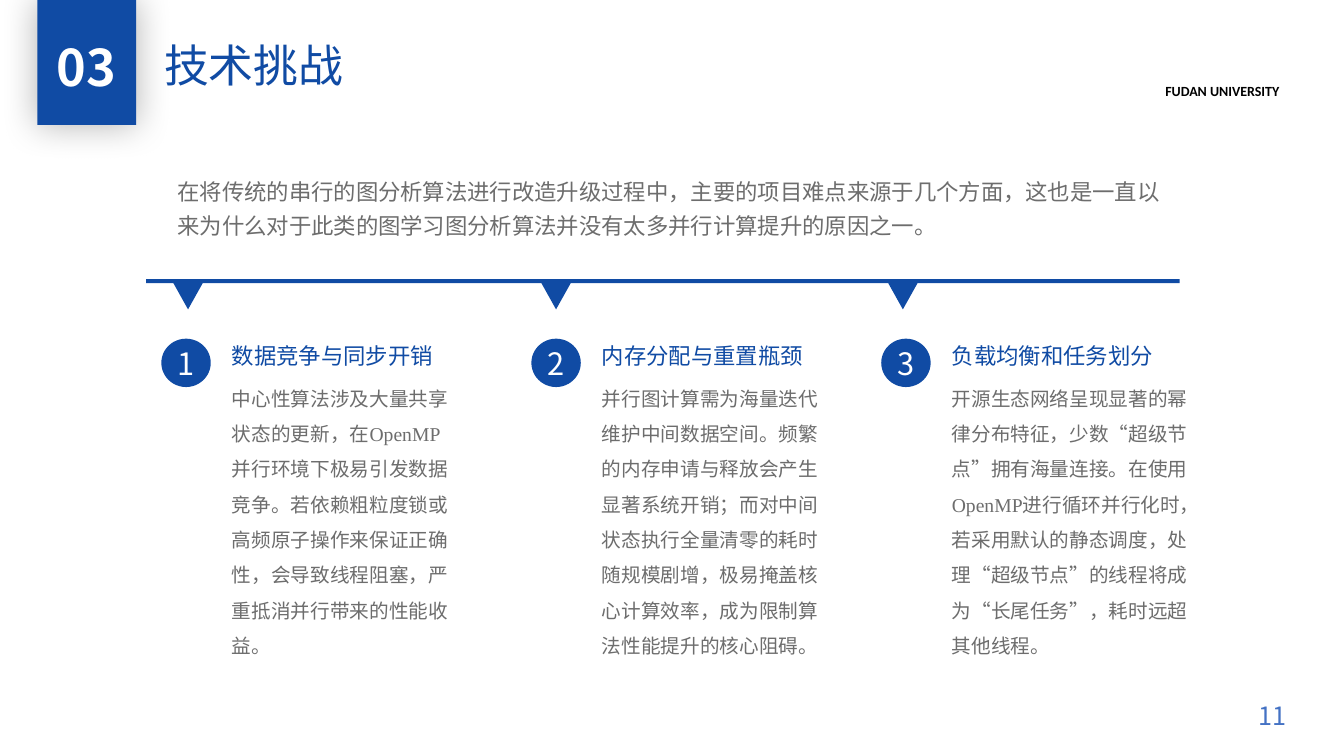
"""Build the slide on the technical challenges of parallel graph analysis."""
from lxml import etree
from pptx import Presentation
from pptx.dml.color import RGBColor
from pptx.enum.shapes import MSO_SHAPE as Shape
from pptx.enum.text import MSO_ANCHOR as Anchor, MSO_AUTO_SIZE as AutoSize, PP_ALIGN as Align
from pptx.oxml import parse_xml
from pptx.oxml.ns import nsdecls, qn
from pptx.util import Inches, Pt

BLUE = RGBColor(0x10, 0x4B, 0xA4)
PAGE_BLUE = RGBColor(0x44, 0x72, 0xC4)
GRAY = RGBColor(0x6D, 0x6D, 0x6D)
BLACK = RGBColor(0, 0, 0)
WHITE = RGBColor(0xFF, 0xFF, 0xFF)
SC, TC = "Noto Sans CJK SC", "Noto Sans CJK TC"

prs = Presentation()
prs.slide_width, prs.slide_height = Inches(13.33), Inches(7.5)
slide = prs.slides.add_slide(prs.slide_layouts[6])


def add_blue(kind, left, top, width, height):
    shape = slide.shapes.add_shape(kind, Inches(left), Inches(top), Inches(width), Inches(height))
    shape.shadow.inherit = False
    shape.fill.solid()
    shape.fill.fore_color.rgb = BLUE
    shape.line.fill.background()
    return shape


def write(shape, text, size, color, font=SC, bold=False, align=Align.LEFT,
          anchor=Anchor.TOP, spacing=1.0, inset=True, grow=False):
    frame = shape.text_frame
    frame.text = text
    frame.word_wrap = True
    frame.vertical_anchor = anchor
    frame.auto_size = AutoSize.SHAPE_TO_FIT_TEXT if grow else AutoSize.NONE
    if not inset:
        frame.margin_left = frame.margin_right = frame.margin_top = frame.margin_bottom = 0
    paragraph = frame.paragraphs[0]
    paragraph.alignment, paragraph.line_spacing = align, spacing
    run = paragraph.runs[0]
    run.font.name, run.font.size, run.font.bold = font, Pt(size), bold
    run.font.color.rgb = color
    east_asian = etree.SubElement(run.font._element, qn("a:ea"))
    east_asian.set("typeface", font if font in (SC, TC) else SC)


badge = add_blue(Shape.RECTANGLE, 0.37, 0, 0.98, 1.24)
effects = badge._element.spPr.find(qn("a:effectLst"))
effects.append(parse_xml(
    f'<a:outerShdw {nsdecls("a")} blurRad="{Pt(26)}" dist="0" dir="0" algn="ctr" rotWithShape="0">'
    '<a:srgbClr val="000000"><a:alpha val="30000"/></a:srgbClr></a:outerShdw>'))

add_blue(Shape.RECTANGLE, 1.45, 2.77, 10.25, 0.04)

intro = ("在将传统的串行的图分析算法进行改造升级过程中，主要的项目难点来源于几个方面，"
         "这也是一直以来为什么对于此类的图学习图分析算法并没有太多并行计算提升的原因之一。")
texts = [
    ((0.32, 0.31, 1.07, 0.71), "03", 36, WHITE, dict(bold=True, align=Align.CENTER, grow=True)),
    ((1.53, 0.33, 3.97, 0.64), "技术挑战", 32, BLUE, dict(grow=True)),
    ((11.46, 0.77, 1.4, 0.27), "FUDAN UNIVERSITY", 10, BLACK,
     dict(font="Calibri", bold=True, align=Align.JUSTIFY, grow=True)),
    ((1.76, 1.7, 9.81, 0.79), intro, 16, GRAY, dict(spacing=1.25, inset=False)),
    ((9.86, 6.9, 3, 0.4), "11", 18, PAGE_BLUE, dict(align=Align.RIGHT, anchor=Anchor.MIDDLE)),
]

challenges = [
    (2.3, 1.72, 2.29, 2.29, "数据竞争与同步开销",
     "中心性算法涉及大量共享状态的更新，在OpenMP 并行环境下极易引发数据竞争。"
     "若依赖粗粒度锁或高频原子操作来保证正确性，会导致线程阻塞，严重抵消并行带来的性能收益。"),
    (5.97, 5.37, 2.26, 2.26, "内存分配与重置瓶颈",
     "并行图计算需为海量迭代维护中间数据空间。频繁的内存申请与释放会产生显著系统开销；"
     "而对中间状态执行全量清零的耗时随规模剧增，极易掩盖核心计算效率，成为限制算法性能提升的核心阻碍。"),
    (9.44, 8.81, 2.35, 2.51, "负载均衡和任务划分",
     "开源生态网络呈现显著的幂律分布特征，少数“超级节点”拥有海量连接。在使用 OpenMP进行循环并行化时，"
     "若采用默认的静态调度，处理“超级节点”的线程将成为“长尾任务”，耗时远超其他线程。"),
]
for number, (left, marker_left, heading_width, body_width, heading, body) in enumerate(challenges, 1):
    add_blue(Shape.FLOWCHART_MERGE, marker_left, 2.81, 0.29, 0.26)
    circle = add_blue(Shape.OVAL, left - 0.7, 3.36, 0.49, 0.48)
    write(circle, str(number), 22, WHITE, TC, align=Align.CENTER, anchor=Anchor.MIDDLE, inset=False)
    texts.append(((left, 3.38, heading_width, 0.32), heading, 16, BLUE,
                  dict(font=TC, anchor=Anchor.MIDDLE, spacing=0.9, inset=False)))
    texts.append(((left, 3.72, body_width, 2.92), body, 14, GRAY,
                  dict(font="Times New Roman", spacing=1.5, inset=False)))

for box, text, size, color, style in texts:
    write(slide.shapes.add_textbox(*map(Inches, box)), text, size, color, **style)

prs.save("out.pptx")
